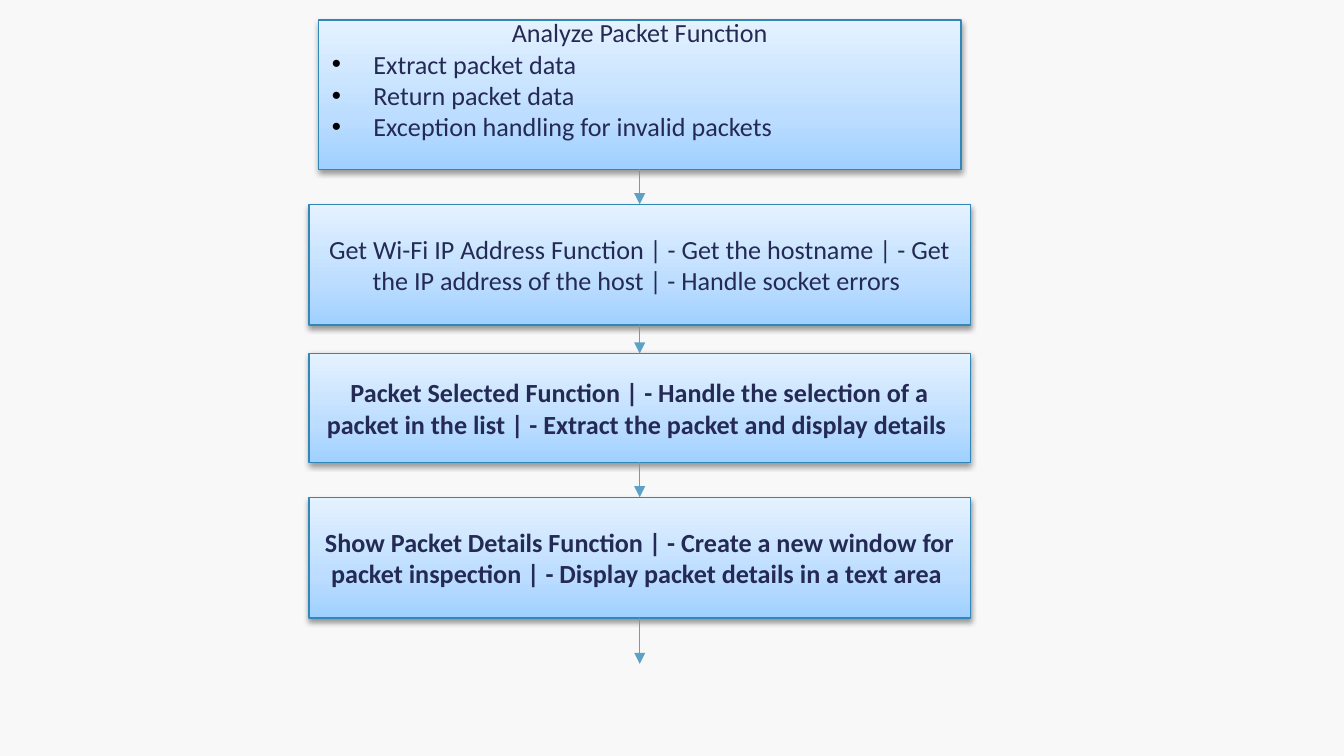
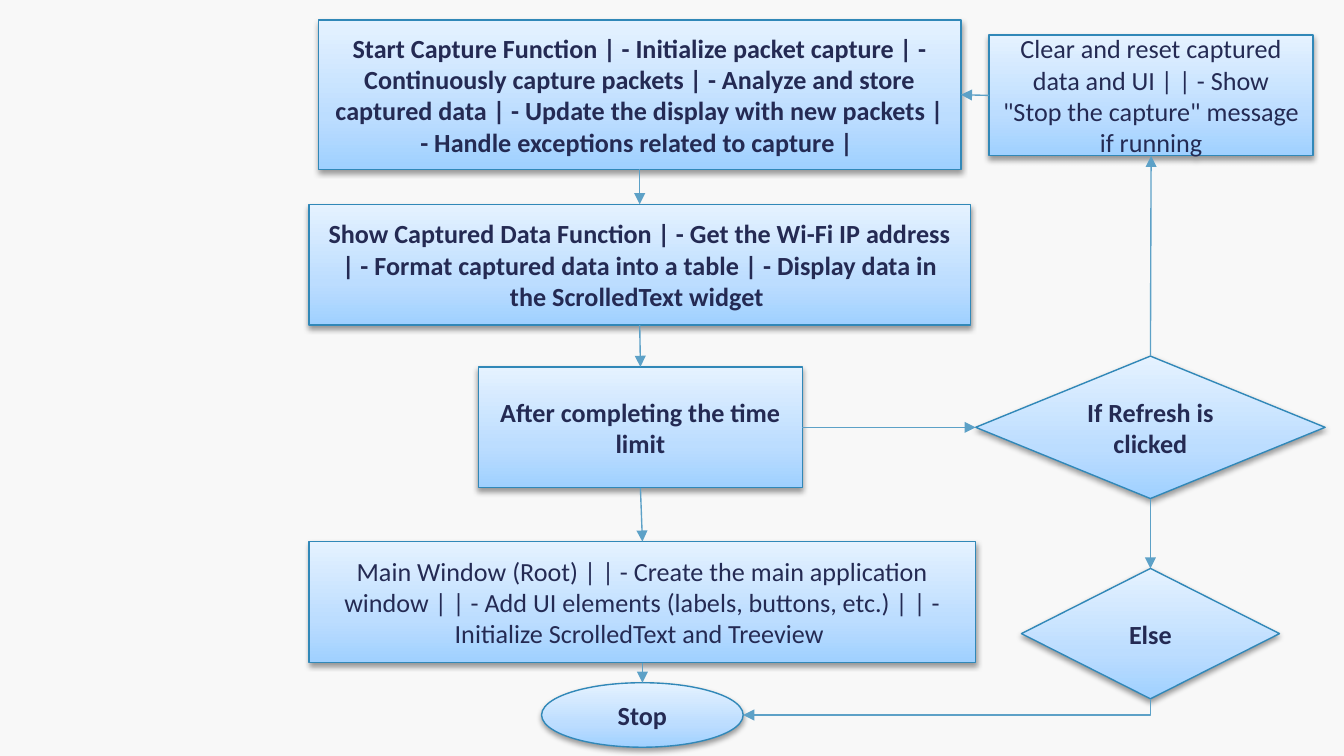
"""Build two flowchart slides describing the functions of a packet analyser."""
from dataclasses import dataclass

from lxml.etree import SubElement
from pptx import Presentation
from pptx.dml.color import RGBColor
from pptx.enum.shapes import MSO_CONNECTOR, MSO_SHAPE
from pptx.enum.text import MSO_ANCHOR, PP_ALIGN
from pptx.oxml.ns import qn
from pptx.util import Inches, Pt


@dataclass(frozen=True)
class Theme:
    background: str = "F8F8F8"
    text: str = "242A53"
    outline: str = "3188B8"
    arrow: str = "5DA1C7"
    black: str = "000000"
    gradient: tuple = ((0, "9FD0FF"), (35, "BCDDFF"), (100, "E5F2FF"))
    font: str = "Calibri"
    size: float = 14
    line: float = 0.75
    shadow_blur: float = 3.1
    shadow_distance: float = 1.6
    shadow_opacity: int = 38
    bullet_indent: float = 0.31
    blank_line: float = 0.23
    inset: float = 0.05


THEME = Theme()
TOP, LEFT, BOTTOM, RIGHT = range(4)
BOX, DECISION, END = MSO_SHAPE.RECTANGLE, MSO_SHAPE.FLOWCHART_DECISION, MSO_SHAPE.OVAL
FIRST_STEP = (2.37, 0.15, 4.78, 1.11)
SECOND_STEP = (2.3, 1.52, 4.92, 0.9)

FLOWCHARTS = [
    {
        "steps": {
            "analyze": (BOX, FIRST_STEP, "Analyze Packet Function", {"bullets": (
                "Extract packet data",
                "Return packet data",
                "Exception handling for invalid packets",
            )}),
            "address": (BOX, SECOND_STEP,
                        "Get Wi-Fi IP Address Function | - Get the hostname | - Get the IP address "
                        "of the host | - Handle socket errors ", {}),
            "selected": (BOX, (2.3, 2.63, 4.92, 0.81),
                         "Packet Selected Function | - Handle the selection of a packet in the list "
                         "| - Extract the packet and display details ", {"bold": True}),
            "details": (BOX, (2.3, 3.7, 4.92, 0.9),
                        "Show Packet Details Function | - Create a new window for packet inspection "
                        "| - Display packet details in a text area ", {"bold": True}),
        },
        "arrows": [
            ("analyze", BOTTOM, "address", TOP),
            ("address", BOTTOM, "selected", TOP),
            ("selected", BOTTOM, "details", TOP),
        ],
        "open_arrows": [("details", BOTTOM, (4.76, 4.94))],
        "corner_arrows": [],
    },
    {
        "steps": {
            "capture": (BOX, FIRST_STEP,
                        "Start Capture Function | - Initialize packet capture | - Continuously "
                        "capture packets | - Analyze and store captured data | - Update the display "
                        "with new packets | - Handle exceptions related to capture | ",
                        {"bold": True}),
            "show": (BOX, SECOND_STEP,
                     "Show Captured Data Function | - Get the Wi-Fi IP address | - Format captured "
                     "data into a table | - Display data in the ScrolledText widget ",
                     {"bold": True}),
            "window": (BOX, (2.3, 4.03, 4.96, 0.9),
                       "Main Window (Root) | | - Create the main application window | | - Add UI "
                       "elements (labels, buttons, etc.) | | - Initialize ScrolledText and Treeview ",
                       {}),
            "stop": (END, (4.03, 5.08, 1.5, 0.48), "Stop", {"bold": True}),
            "limit": (BOX, (3.56, 2.73, 2.41, 0.9), "After completing the time limit",
                      {"bold": True}),
            "refresh": (DECISION, (7.26, 2.65, 2.6, 1.06), "If Refresh is clicked",
                        {"bold": True}),
            "clear": (BOX, (7.36, 0.26, 2.41, 0.9),
                      "Clear and reset captured data and UI | | - Show \"Stop the capture\" message "
                      "if running", {}),
            "else": (DECISION, (7.6, 4.23, 1.92, 0.97), "Else", {"bold": True}),
        },
        "arrows": [
            ("capture", BOTTOM, "show", TOP),
            ("show", BOTTOM, "limit", TOP),
            ("limit", BOTTOM, "window", TOP),
            ("window", BOTTOM, "stop", TOP),
            ("clear", LEFT, "capture", RIGHT),
            ("refresh", TOP, "clear", BOTTOM),
            ("limit", RIGHT, "refresh", LEFT),
            ("refresh", BOTTOM, "else", TOP),
        ],
        "open_arrows": [],
        "corner_arrows": [("else", BOTTOM, (5.53, 5.32))],
    },
]


def rgb(color):
    return RGBColor.from_string(color)


def write_paragraph(paragraph, text, *, bold=False, bullet=False):
    run = paragraph.add_run()
    run.text = text
    run.font.name, run.font.size, run.font.bold = THEME.font, Pt(THEME.size), bold
    run.font.color.rgb = rgb(THEME.text)
    paragraph.alignment = PP_ALIGN.LEFT if bullet else PP_ALIGN.CENTER
    if bullet:
        properties = paragraph._p.get_or_add_pPr()
        indent = Inches(THEME.bullet_indent)
        properties.set("marL", str(indent))
        properties.set("indent", str(-indent))
        color = SubElement(properties, qn("a:buClr"))
        SubElement(color, qn("a:srgbClr"), val=THEME.black)
        SubElement(properties, qn("a:buFont"), typeface="Arial")
        SubElement(properties, qn("a:buChar"), char="•")


def paint_step(step):
    step.fill.gradient()
    step.fill.gradient_angle = 90
    stops = step._element.spPr.find(qn("a:gradFill")).find(qn("a:gsLst"))
    for stop in list(stops):
        stops.remove(stop)
    for position, color in THEME.gradient:
        stop = SubElement(stops, qn("a:gs"), pos=str(position * 1000))
        SubElement(stop, qn("a:srgbClr"), val=color)
    step.line.color.rgb = rgb(THEME.outline)
    step.line.width = Pt(THEME.line)

    step.shadow.inherit = False
    effects = step._element.spPr.find(qn("a:effectLst"))
    shadow = SubElement(effects, qn("a:outerShdw"), blurRad=str(Pt(THEME.shadow_blur)),
                        dist=str(Pt(THEME.shadow_distance)), dir="5400000", rotWithShape="0")
    color = SubElement(shadow, qn("a:srgbClr"), val=THEME.black)
    SubElement(color, qn("a:alpha"), val=str(THEME.shadow_opacity * 1000))


def add_step(slide, kind, place, text, *, bold=False, bullets=()):
    step = slide.shapes.add_shape(kind, *map(Inches, place))
    paint_step(step)
    frame = step.text_frame
    frame.word_wrap = True
    frame.vertical_anchor = MSO_ANCHOR.MIDDLE
    write_paragraph(frame.paragraphs[0], text, bold=bold)
    for item in bullets:
        write_paragraph(frame.add_paragraph(), item, bullet=True)
    if bullets:
        frame.margin_bottom = Inches(THEME.inset + THEME.blank_line)
    return step


def add_arrow(slide, start, start_side, *, finish=None, finish_side=TOP, point=(0, 0),
              kind=MSO_CONNECTOR.STRAIGHT):
    x, y = map(Inches, point)
    arrow = slide.shapes.add_connector(kind, x, y, x, y)
    arrow.begin_connect(start, start_side)
    if finish is not None:
        arrow.end_connect(finish, finish_side)
    arrow.line.color.rgb = rgb(THEME.arrow)
    arrow.line.width = Pt(THEME.line)
    properties = arrow._element.spPr
    SubElement(properties.find(qn("a:ln")), qn("a:tailEnd"), type="triangle")
    SubElement(properties, qn("a:effectLst"))
    return arrow


def bend_down_then_left(arrow):
    across = arrow.begin_x - arrow.end_x
    down = arrow.end_y - arrow.begin_y
    center_x = (arrow.begin_x + arrow.end_x) // 2
    center_y = (arrow.begin_y + arrow.end_y) // 2
    properties = arrow._element.spPr
    frame = properties.find(qn("a:xfrm"))
    frame.attrib.clear()
    frame.set("rot", "5400000")
    properties.find(qn("a:prstGeom")).set("prst", "bentConnector2")
    arrow.left, arrow.top = center_x - down // 2, center_y - across // 2
    arrow.width, arrow.height = down, across


def add_flowchart(deck, flowchart):
    slide = deck.slides.add_slide(deck.slide_layouts[6])
    slide.background.fill.solid()
    slide.background.fill.fore_color.rgb = rgb(THEME.background)
    steps = {name: add_step(slide, kind, place, text, **style)
             for name, (kind, place, text, style) in flowchart["steps"].items()}
    for start, start_side, finish, finish_side in flowchart["arrows"]:
        add_arrow(slide, steps[start], start_side, finish=steps[finish], finish_side=finish_side)
    for start, start_side, point in flowchart["open_arrows"]:
        add_arrow(slide, steps[start], start_side, point=point)
    for start, start_side, point in flowchart["corner_arrows"]:
        bend_down_then_left(add_arrow(slide, steps[start], start_side, point=point,
                                      kind=MSO_CONNECTOR.ELBOW))


def main():
    deck = Presentation()
    deck.slide_width = Inches(10)
    deck.slide_height = deck.slide_width * 9 // 16
    for flowchart in FLOWCHARTS:
        add_flowchart(deck, flowchart)
    deck.save("out.pptx")


if __name__ == "__main__":
    main()
